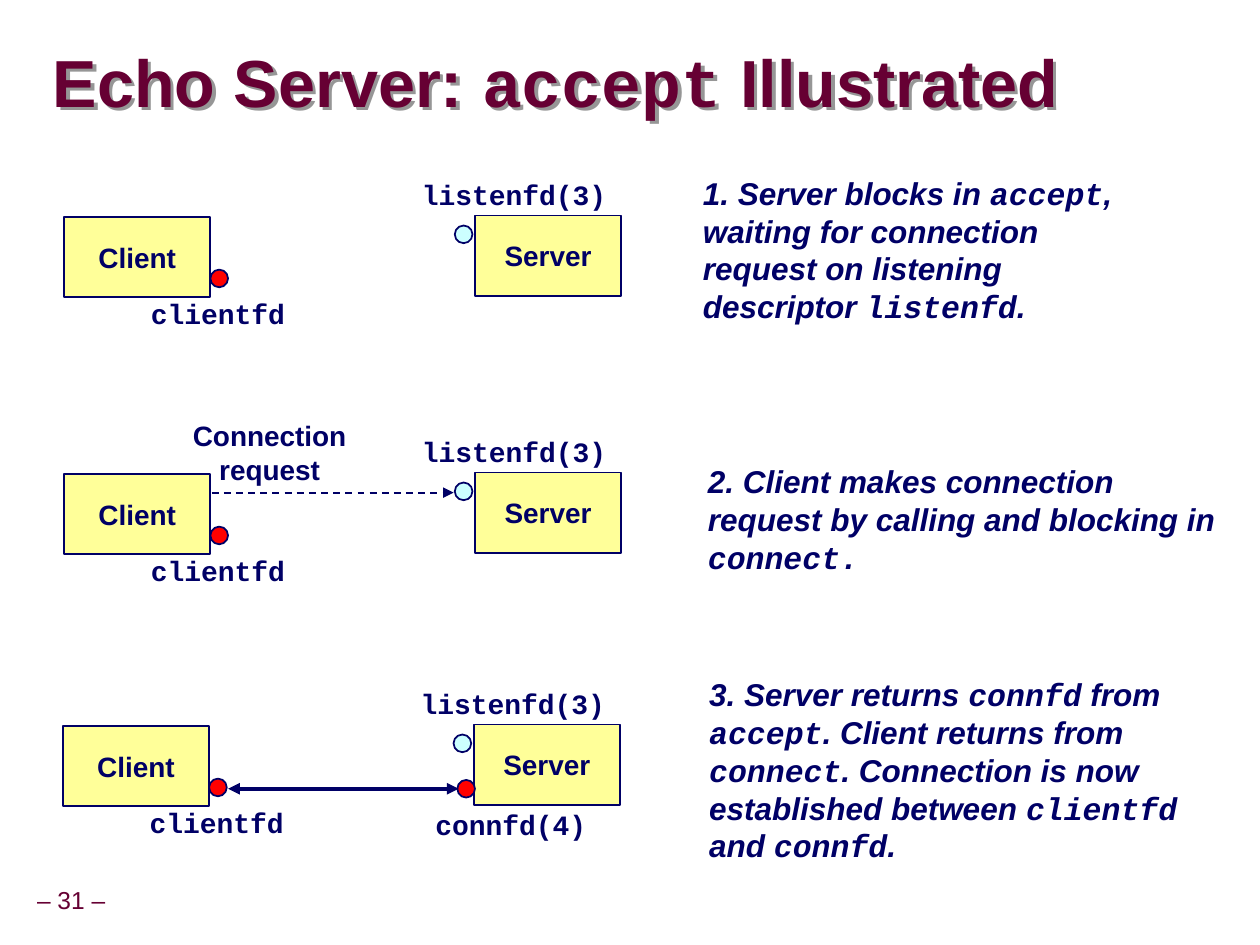
from lxml import etree
from pptx import Presentation
from pptx.dml.color import RGBColor
from pptx.enum.dml import MSO_LINE
from pptx.enum.shapes import MSO_CONNECTOR as Conn, MSO_SHAPE as Kind
from pptx.enum.text import MSO_ANCHOR as Anchor, MSO_AUTO_SIZE as Fit, PP_ALIGN as Align
from pptx.oxml.ns import qn
from pptx.util import Inches, Pt

# Content: text between backticks is set in the code font
TITLE = "Echo Server: `accept` Illustrated"
PAGE = "– 31 –"
# Each stage: left and top offset of its diagram
STAGES = [(0, 0), (0, 2.04), (-0.01, 4.04)]
# Each note: left, top, width, height, text
NOTES = [
    (5.48, 1.33, 3.6, 1.3, "1. Server blocks in `accept`, waiting for connection "
     "request on listening descriptor `listenfd`."),
    (5.52, 3.62, 4.23, 1, "2. Client makes connection request by calling and "
     "blocking in `connect.`"),
    (5.53, 5.31, 4.39, 1.6, "3. Server returns `connfd` from `accept`. Client "
     "returns from `connect`. Connection is now established between "
     "`clientfd` and `connfd`."),
]
HEX = {"wine": "660033", "navy": "000066", "yellow": "FFFF99",
       "pale": "CCFFFF", "red": "FF0000", "gray": "969696"}
SANS, MONO = "Arial", "Courier New"
BOX_W, BOX_H, DOT = 1.16, 0.64, 0.14

deck = Presentation()
deck.slide_width, deck.slide_height = Inches(10), Inches(7.5)
slide = deck.slides.add_slide(deck.slide_layouts[6])
shapes = slide.shapes


def color(name):
    return RGBColor.from_string(HEX[name])


def shade(box):
    """Give the letters of an unfilled box a gray shadow."""
    fx = etree.SubElement(box._element.spPr, qn("a:effectLst"))
    drop = etree.SubElement(fx, qn("a:outerShdw"), dist="38100", dir="2700000",
                            algn="ctr", rotWithShape="0")
    etree.SubElement(drop, qn("a:srgbClr"), val=HEX["gray"])


def write(frame, text, size=16, ink="navy", bold=True, italic=False,
          align=Align.CENTER, space=None, wrap=False, pad=(0.05, 0.05)):
    frame.word_wrap = wrap
    frame.vertical_anchor = Anchor.MIDDLE
    frame.margin_left = frame.margin_right = Inches(pad[0])
    frame.margin_top = frame.margin_bottom = Inches(pad[1])
    for i, line in enumerate(text.split("\n")):
        para = frame.add_paragraph() if i else frame.paragraphs[0]
        para.alignment = align
        if space:
            para.line_spacing = space
        for j, part in enumerate(line.split("`")):
            if not part:
                continue
            run = para.add_run()
            run.text = part
            font = run.font
            font.name = MONO if j % 2 else SANS
            font.size, font.bold, font.italic = Pt(size), bold, italic
            font.color.rgb = color(ink)


def label(x, y, w, h, text, fit=Fit.SHAPE_TO_FIT_TEXT, **style):
    box = shapes.add_textbox(Inches(x), Inches(y), Inches(w), Inches(h))
    write(box.text_frame, text, **style)
    box.text_frame.auto_size = fit
    return box


def solid(kind, x, y, w, h, fill):
    shape = shapes.add_shape(kind, Inches(x), Inches(y), Inches(w), Inches(h))
    shape.shadow.inherit = False
    shape.fill.solid()
    shape.fill.fore_color.rgb = color(fill)
    shape.line.color.rgb = color("navy")
    shape.line.width = Pt(1)
    return shape


def dot(x, y, fill):
    solid(Kind.OVAL, x, y, DOT, DOT, fill)


def node(x, y, text):
    write(solid(Kind.RECTANGLE, x, y, BOX_W, BOX_H, "yellow").text_frame, text)


def arrow(x1, x2, y, width, ends, dash=None):
    link = shapes.add_connector(Conn.STRAIGHT, Inches(x1), Inches(y),
                                Inches(x2), Inches(y))
    link.line.color.rgb = color("navy")
    link.line.width = Pt(width)
    if dash:
        link.line.dash_style = dash
    pen = link.line._get_or_add_ln()
    for end in ends:
        etree.SubElement(pen, qn("a:" + end), type="triangle")
    etree.SubElement(link._element.spPr, qn("a:effectLst"))


# Title and page number
shade(label(0.42, 0.37, 9.17, 0.63, TITLE, fit=Fit.NONE, size=38, ink="wine",
            align=Align.LEFT, space=0.87, wrap=True, pad=(0, 0)))
label(-0.09, 7, 1.31, 0.31, PAGE, size=14, ink="wine", bold=False, space=0.9)

# Client and server of each stage
for dx, dy in STAGES:
    dot(3.61 + dx, 1.79 + dy, "pale")
    label(3.25 + dx, 1.36 + dy, 1.66, 0.37, "`listenfd(3)`")
    dot(1.67 + dx, 2.14 + dy, "red")
    node(0.51 + dx, 1.72 + dy, "Client")
    label(1.1 + dx, 2.3 + dy, 1.26, 0.37, "`clientfd`")
    node(3.77 + dx, 1.71 + dy, "Server")

# Stage 2: connection request
arrow(1.68, 3.6, 3.91, 1, ["tailEnd"], MSO_LINE.DASH)
label(1.43, 3.27, 1.42, 0.64, "Connection\nrequest")

# Stage 3: established connection
dot(3.63, 6.19, "red")
label(3.36, 6.36, 1.39, 0.37, "`connfd(4)`")
arrow(1.81, 3.64, 6.26, 2.25, ["headEnd", "tailEnd"])

# Notes on the right
for x, y, w, h, text in NOTES:
    label(x, y, w, h, text, size=18, italic=True, align=Align.LEFT, wrap=True,
          pad=(0.1, 0.05))

deck.save("out.pptx")
